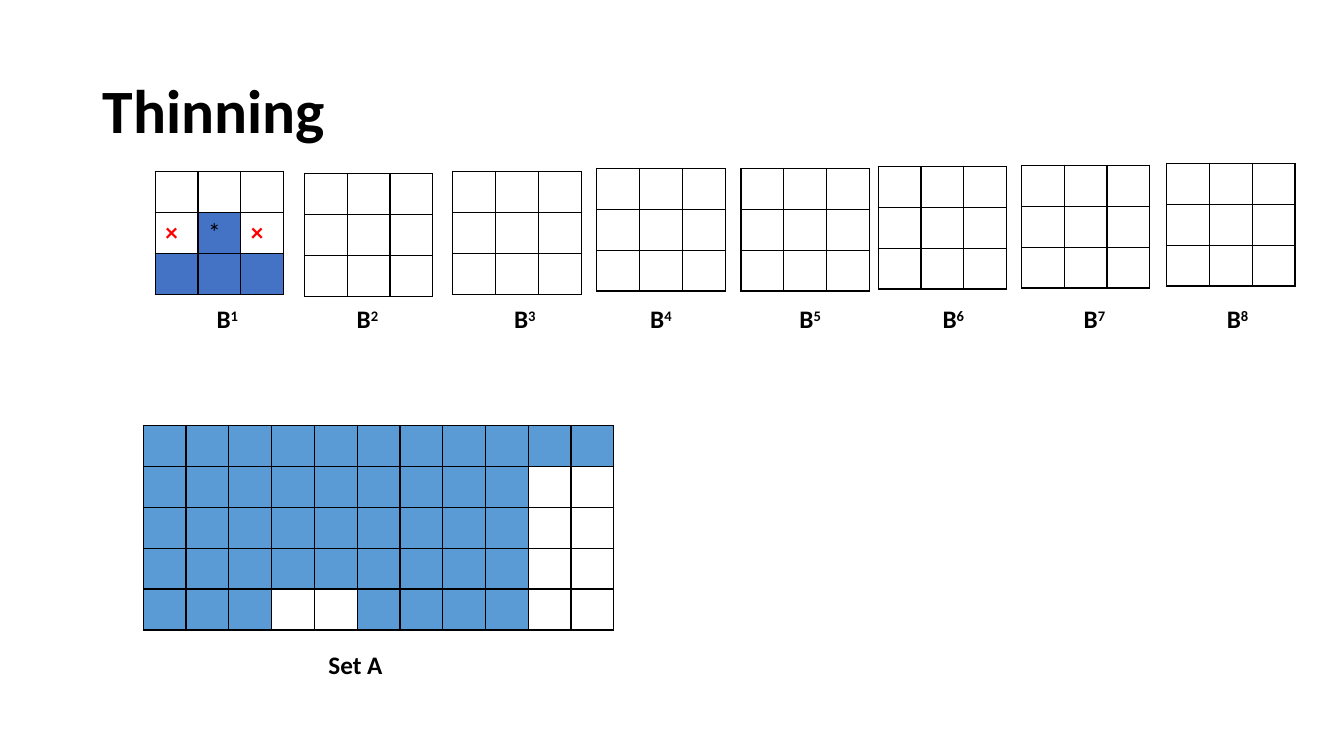
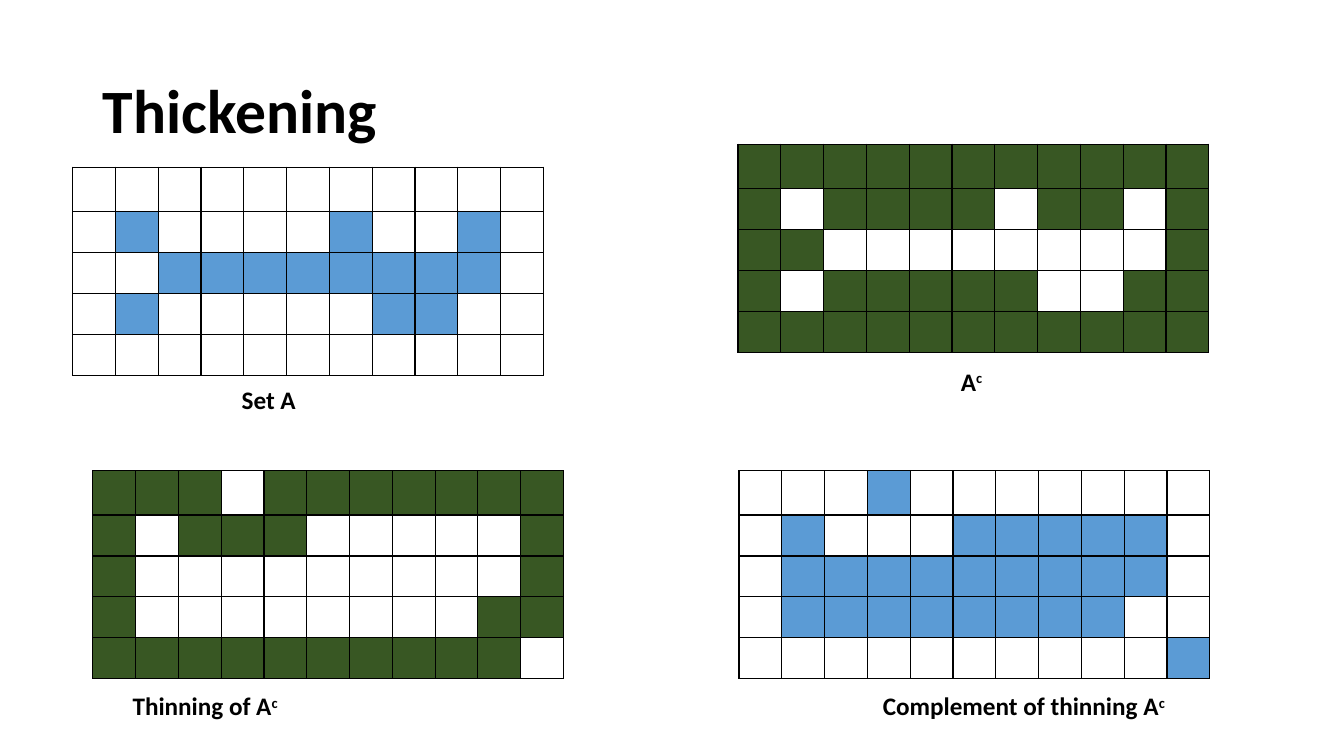
from lxml.etree import SubElement
from pptx import Presentation
from pptx.dml.color import RGBColor
from pptx.enum.text import MSO_ANCHOR as Anchor, PP_ALIGN as Align
from pptx.oxml.ns import qn
from pptx.util import Inches, Pt

FONT = "Calibri"
BLACK = RGBColor(0x00, 0x00, 0x00)
RED = RGBColor(0xFF, 0x00, 0x00)
MASK_BLUE = RGBColor(0x44, 0x72, 0xC4)
SET_BLUE = RGBColor(0x5B, 0x9B, 0xD5)
GREEN = RGBColor(0x38, 0x57, 0x23)

CELL_WIDTH = 4.67 / 11
CELL_HEIGHT = 2.03 / 5
TALL_ROW = 0.44
LABEL_WIDTH, LABEL_HEIGHT = 1.89, 1

# Content: in every grid "#" is a filled cell and "." an empty one
MASK = ["...", ".#.", "###"]
EMPTY_MASK = ["..."] * 3
MASK_MARKS = {(1, 0): ("×", RED, True), (1, 1): ("*", BLACK, False), (1, 2): ("×", RED, True)}
# Structuring elements: grid left, grid top, label left
MASK_PLACES = [
    (1.54, 1.70, 1.31), (3.02, 1.72, 2.70), (4.49, 1.70, 4.26), (5.92, 1.67, 5.61),
    (7.35, 1.67, 7.09), (8.71, 1.65, 8.51), (10.13, 1.64, 9.91), (11.57, 1.62, 11.33),
]
MASK_LABEL_TOP = 2.66

THINNING_SET = ["###########", *["#########.."] * 3, "###..####.."]

# Thickening panels: grid left, grid top, colour, rows,
# then label left, label top, label width, base text, superscript
THICKENING_PANELS = [
    (0.72, 1.66, SET_BLUE,
     ["...........",
      ".#....#..#.",
      "..########.",
      ".#.....##..",
      "..........."],
     1.72, 3.46, LABEL_WIDTH, "Set A", ""),
    (7.32, 1.43, GREEN,
     ["###########",
      "#.####.##.#",
      "##........#",
      "#.#####..##",
      "###########"],
     8.69, 3.28, LABEL_WIDTH, "A", "c"),
    (0.92, 4.67, GREEN,
     ["###.#######",
      "#.###.....#",
      "#.........#",
      "#........##",
      "##########."],
     1.09, 6.5, LABEL_WIDTH, "Thinning of A", "c"),
    (7.33, 4.67, SET_BLUE,
     ["...#.......",
      ".#...#####.",
      ".#########.",
      ".########..",
      "..........#"],
     8.45, 6.5, 3.41, "Complement of thinning A", "c"),
]


def style(paragraph, size, color=BLACK, bold=True):
    font = paragraph.font
    font.name, font.size, font.bold = FONT, Pt(size), bold
    font.color.rgb = color


def add_slide(presentation, title):
    slide = presentation.slides.add_slide(presentation.slide_layouts[5])
    slide.shapes.title.text = title
    paragraph = slide.shapes.title.text_frame.paragraphs[0]
    paragraph.alignment = Align.LEFT
    paragraph.line_spacing = 0.9
    style(paragraph, 44)
    return slide


def add_borders(cell):
    properties = cell._tc.get_or_add_tcPr()
    for side in ("a:lnL", "a:lnR", "a:lnT", "a:lnB"):
        line = SubElement(properties, qn(side), w=str(Pt(1)))
        fill = SubElement(line, qn("a:solidFill"))
        SubElement(fill, qn("a:srgbClr"), val=str(BLACK))


def add_grid(slide, left, top, pattern, color, marks=None, first_row=CELL_HEIGHT):
    marks = marks or {}
    row_count, column_count = len(pattern), len(pattern[0])
    heights = [first_row] + [CELL_HEIGHT] * (row_count - 1)
    table = slide.shapes.add_table(
        row_count, column_count, Inches(left), Inches(top),
        Inches(CELL_WIDTH * column_count), Inches(sum(heights))).table
    table.first_row = table.horz_banding = False
    for column in table.columns:
        column.width = Inches(CELL_WIDTH)
    for row, height in zip(table.rows, heights):
        row.height = Inches(height)
    for row_index, line in enumerate(pattern):
        for column_index, symbol in enumerate(line):
            cell = table.cell(row_index, column_index)
            add_borders(cell)
            if symbol == "#":
                cell.fill.solid()
                cell.fill.fore_color.rgb = color
            else:
                cell.fill.background()
            if (row_index, column_index) in marks:
                text, mark_color, bold = marks[row_index, column_index]
                cell.text = text
                style(cell.text_frame.paragraphs[0], 18, mark_color, bold)


def add_label(slide, left, top, text, superscript="", width=LABEL_WIDTH):
    box = slide.shapes.add_textbox(Inches(left), Inches(top), Inches(width), Inches(LABEL_HEIGHT))
    frame = box.text_frame
    frame.word_wrap = True
    frame.vertical_anchor = Anchor.MIDDLE
    paragraph = frame.paragraphs[0]
    paragraph.alignment = Align.CENTER
    style(paragraph, 18)
    paragraph.add_run().text = text
    if superscript:
        run = paragraph.add_run()
        run.text = superscript
        run._r.get_or_add_rPr().set("baseline", "30000")


def build_thinning(presentation):
    slide = add_slide(presentation, "Thinning")
    for number, (left, top, label_left) in enumerate(MASK_PLACES, 1):
        first = number == 1
        add_grid(slide, left, top, MASK if first else EMPTY_MASK, MASK_BLUE,
                 MASK_MARKS if first else None)
        add_label(slide, label_left, MASK_LABEL_TOP, "B", str(number))
    add_grid(slide, 1.42, 4.22, THINNING_SET, SET_BLUE)
    add_label(slide, 2.58, 6.09, "Set A")


def build_thickening(presentation):
    slide = add_slide(presentation, "Thickening")
    for (left, top, color, pattern,
         label_left, label_top, width, text, superscript) in THICKENING_PANELS:
        add_grid(slide, left, top, pattern, color, first_row=TALL_ROW)
        add_label(slide, label_left, label_top, text, superscript, width)


def main():
    presentation = Presentation()
    presentation.slide_width, presentation.slide_height = Inches(13.33), Inches(7.5)
    # Shared title position
    title = presentation.slide_layouts[5].placeholders[0]
    title.left, title.top = Inches(0.92), Inches(0.4)
    title.width, title.height = Inches(11.5), Inches(1.45)
    title.text_frame.vertical_anchor = Anchor.MIDDLE

    build_thinning(presentation)
    build_thickening(presentation)
    presentation.save("out.pptx")


if __name__ == "__main__":
    main()
